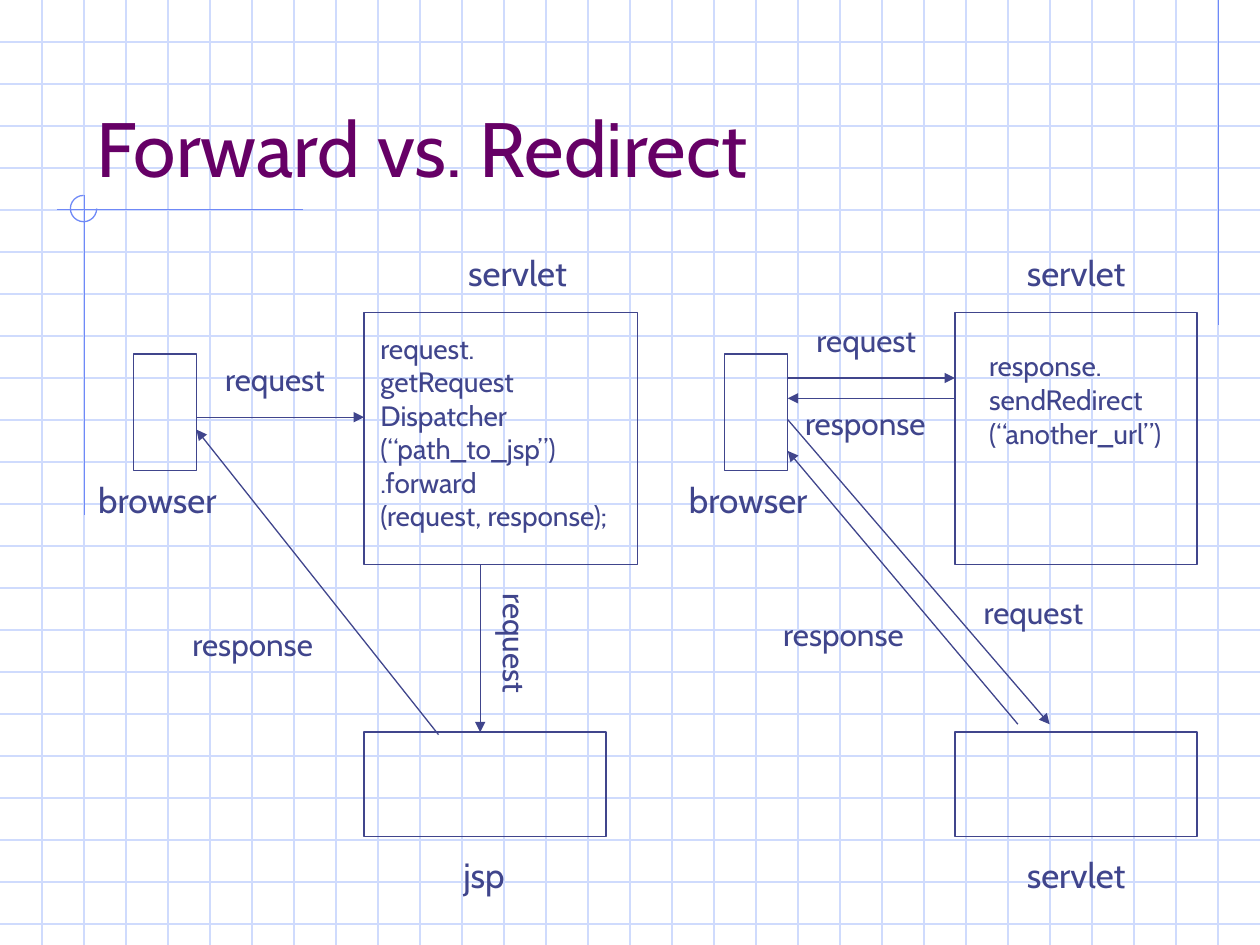
import dataclasses

import lxml.etree
import pptx
import pptx.dml.color
import pptx.enum.shapes
import pptx.enum.text
import pptx.oxml.ns
import pptx.util

Cm = pptx.util.Cm
Pt = pptx.util.Pt
RGBColor = pptx.dml.color.RGBColor
MSO_SHAPE = pptx.enum.shapes.MSO_SHAPE

WIDTH, HEIGHT = 25.4, 19.05
COLUMNS = 30
PITCH = WIDTH / COLUMNS
ROWS = int(HEIGHT / PITCH)
PANEL_SHIFT = 11.91  # from the forward diagram to the redirect diagram

FONT = "Cabin"
GRID_BLUE = RGBColor(0xCF, 0xDB, 0xFD)
ACCENT_BLUE = RGBColor(0x6F, 0x89, 0xF7)
INK = RGBColor(0x40, 0x45, 0x8C)
PURPLE = RGBColor(0x66, 0x00, 0x66)


@dataclasses.dataclass(frozen=True)
class Box:
    left: float
    top: float
    width: float
    height: float


@dataclasses.dataclass(frozen=True)
class Label:
    text: str
    left: float
    top: float
    width: float
    height: float
    size: int
    rotation: int = 0


@dataclasses.dataclass(frozen=True)
class Line:
    x1: float
    y1: float
    x2: float
    y2: float


def name_label(text: str, left: float, top: float, width: float) -> Label:
    return Label(text, left, top, width, 1.12, 20)


def request_label(left: float, top: float, rotation: int = 0) -> Label:
    return Label("request", left, top, 2.79, 1.02, 18, rotation)


def response_label(left: float, top: float) -> Label:
    return Label("response", left, top, 3.25, 1.02, 18)


ACCENTS = [
    Line(24.56, 0, 24.56, 6.55),
    Line(6.1, 4.22, 1.14, 4.22),
    Line(1.7, 3.94, 1.7, 10.39),
]

BOXES = [Box(7.34, 6.3, 5.51, 5.08), Box(19.25, 6.3, 4.88, 5.08)]
for shift in (0, PANEL_SHIFT):
    BOXES += [
        Box(2.69 + shift, 7.14, 1.27, 2.34),   # browser
        Box(7.34 + shift, 14.76, 4.88, 2.11),  # target page
    ]

LABELS = [
    name_label("servlet", 9.19, 4.95, 2.72),
    name_label("jsp", 9.09, 17.09, 1.45),
    name_label("browser", 1.73, 9.53, 3.25),
    name_label("servlet", 20.45, 4.95, 2.72),
    name_label("servlet", 20.45, 17.09, 2.72),
    name_label("browser", 1.73 + PANEL_SHIFT, 9.53, 3.25),
    request_label(4.29, 7.14),
    request_label(8.99, 12.6, 90),
    request_label(16.21, 6.35),
    request_label(19.58, 11.84),
    response_label(3.63, 12.47),
    response_label(15.54, 12.27),
    response_label(15.98, 8.03),
    Label("request.\ngetRequest\nDispatcher\n(“path_to_jsp”)\n.forward\n(request, response);",
          7.42, 6.55, 5.77, 4.32, 16),
    Label("response.\nsendRedirect\n(“another_url”)", 19.69, 6.91, 4.32, 2.29, 16),
]

ARROWS = [
    # Forward
    Line(3.96, 8.41, 7.34, 8.41),
    Line(9.68, 11.38, 9.68, 14.76),
    Line(8.84, 14.81, 3.96, 8.66),
    # Redirect
    Line(15.88, 7.62, 19.25, 7.62),
    Line(19.25, 8.03, 15.88, 8.03),
    Line(15.88, 8.46, 21.16, 14.6),
    Line(20.52, 14.6, 15.88, 9.09),
]


def draw_line(slide, line: Line, color: RGBColor, arrow: bool = False) -> None:
    connector = slide.shapes.add_connector(
        pptx.enum.shapes.MSO_CONNECTOR.STRAIGHT,
        Cm(line.x1), Cm(line.y1), Cm(line.x2), Cm(line.y2))
    connector.line.color.rgb = color
    connector.line.width = Pt(0.75)
    if arrow:
        lxml.etree.SubElement(connector.line._get_or_add_ln(),
                              pptx.oxml.ns.qn("a:tailEnd"), type="triangle")
    lxml.etree.SubElement(connector._element.spPr, pptx.oxml.ns.qn("a:effectLst"))


def draw_outline(slide, kind: MSO_SHAPE, box: Box, color: RGBColor):
    shape = slide.shapes.add_shape(
        kind, Cm(box.left), Cm(box.top), Cm(box.width), Cm(box.height))
    shape.shadow.inherit = False
    shape.fill.background()
    shape.line.color.rgb = color
    shape.line.width = Pt(0.75)
    return shape


def format_text(text_frame, size: int, color: RGBColor) -> None:
    for paragraph in text_frame.paragraphs:
        paragraph.alignment = pptx.enum.text.PP_ALIGN.LEFT
        for run in paragraph.runs:
            run.font.name = FONT
            run.font.size = Pt(size)
            run.font.color.rgb = color


def draw_label(slide, label: Label) -> None:
    shape = slide.shapes.add_textbox(
        Cm(label.left), Cm(label.top), Cm(label.width), Cm(label.height))
    shape.rotation = label.rotation
    text_frame = shape.text_frame
    text_frame.text = label.text
    text_frame.word_wrap = False
    text_frame.auto_size = pptx.enum.text.MSO_AUTO_SIZE.SHAPE_TO_FIT_TEXT
    format_text(text_frame, label.size, INK)


def draw_background(slide) -> None:
    for row in range(1, ROWS + 1):
        draw_line(slide, Line(0, row * PITCH, WIDTH, row * PITCH), GRID_BLUE)
    for column in range(1, COLUMNS):
        draw_line(slide, Line(column * PITCH, 0, column * PITCH, HEIGHT), GRID_BLUE)
    for accent in ACCENTS:
        draw_line(slide, accent, ACCENT_BLUE)
    # Three quarters of a circle, from the right clockwise to the top
    arc = draw_outline(slide, MSO_SHAPE.ARC, Box(1.42, 3.94, 0.53, 0.53), ACCENT_BLUE)
    arc.adjustments[0] = 0
    arc.adjustments[1] = 162


def place_title(slide, text: str) -> None:
    title = slide.shapes.title
    title.left, title.top = Cm(1.7), Cm(0.84)
    title.width, title.height = Cm(21.59), Cm(3.18)
    text_frame = title.text_frame
    text_frame.text = text
    text_frame.auto_size = pptx.enum.text.MSO_AUTO_SIZE.NONE
    text_frame.vertical_anchor = pptx.enum.text.MSO_ANCHOR.BOTTOM
    format_text(text_frame, 44, PURPLE)
    # Bring the title in front of the grid
    slide.shapes._spTree.append(title._element)


def main() -> None:
    presentation = pptx.Presentation()
    presentation.slide_width, presentation.slide_height = Cm(WIDTH), Cm(HEIGHT)
    slide = presentation.slides.add_slide(presentation.slide_layouts[5])

    draw_background(slide)
    place_title(slide, "Forward vs. Redirect")

    # Diagrams
    for box in BOXES:
        draw_outline(slide, MSO_SHAPE.RECTANGLE, box, INK)
    for arrow in ARROWS:
        draw_line(slide, arrow, INK, arrow=True)
    for label in LABELS:
        draw_label(slide, label)

    presentation.save("out.pptx")


if __name__ == "__main__":
    main()
